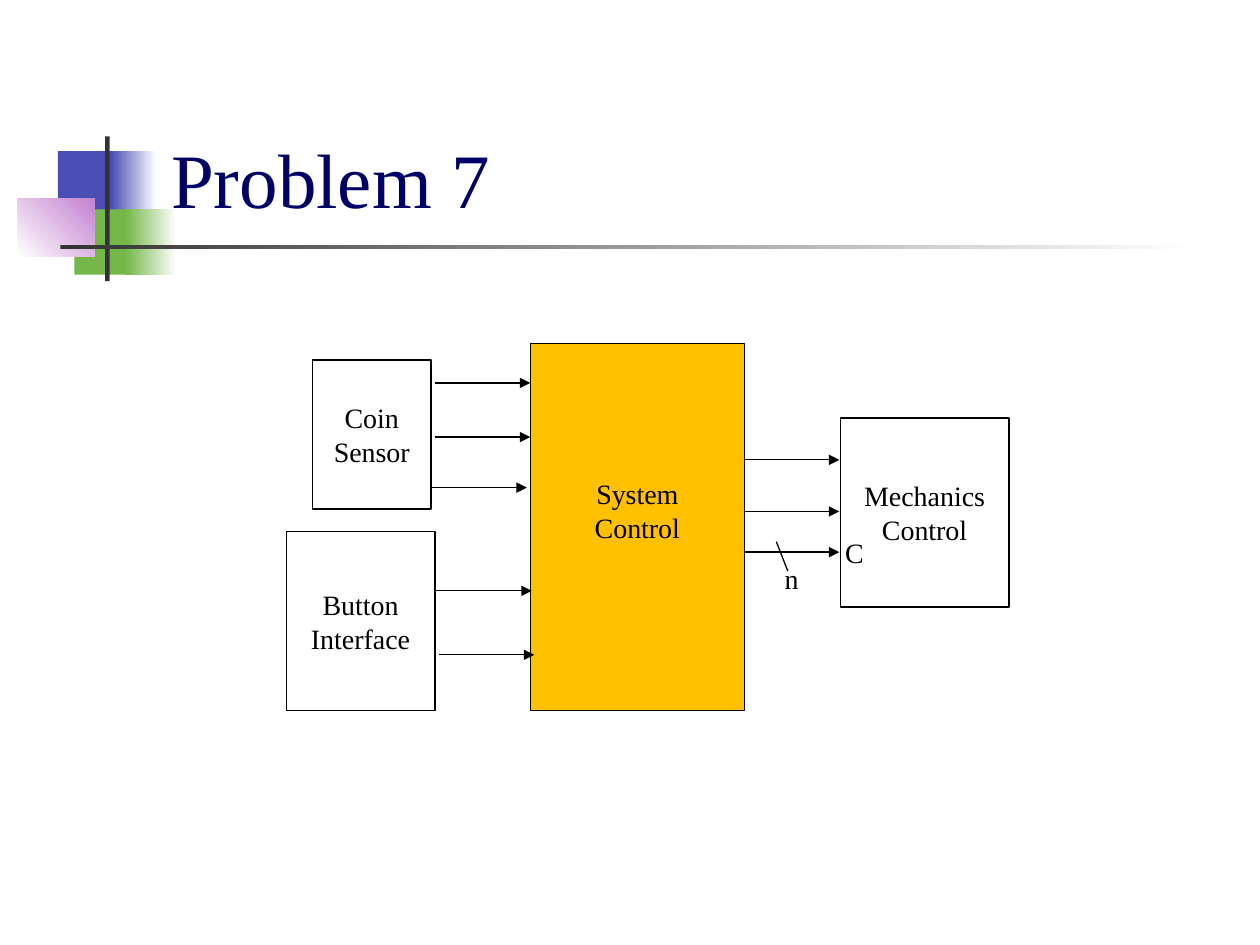
from lxml import etree
from pptx import Presentation
from pptx.dml.color import RGBColor
from pptx.enum.shapes import MSO_CONNECTOR, MSO_SHAPE
from pptx.enum.text import MSO_ANCHOR, MSO_AUTO_SIZE, PP_ALIGN
from pptx.oxml.ns import qn
from pptx.util import Cm, Pt

RECTANGLE = MSO_SHAPE.RECTANGLE
STRAIGHT = MSO_CONNECTOR.STRAIGHT
LEFT, CENTER = PP_ALIGN.LEFT, PP_ALIGN.CENTER
TOP, MIDDLE, BOTTOM = MSO_ANCHOR.TOP, MSO_ANCHOR.MIDDLE, MSO_ANCHOR.BOTTOM
FIT_SHAPE = MSO_AUTO_SIZE.SHAPE_TO_FIT_TEXT

BLACK = RGBColor(0x00, 0x00, 0x00)
WHITE = RGBColor(0xFF, 0xFF, 0xFF)
NAVY = RGBColor(0x00, 0x00, 0x66)
BLUE = RGBColor(0x4B, 0x4E, 0xB5)
GREEN = RGBColor(0x76, 0xB7, 0x49)
PURPLE = RGBColor(0xC4, 0x81, 0xCF)
CHARCOAL = RGBColor(0x33, 0x33, 0x33)
AMBER = RGBColor(0xFF, 0xC0, 0x00)


def write_text(frame, text, font="Times New Roman", size=16, color=BLACK,
               align=LEFT, anchor=TOP, wrap=True):
    """Fill a text frame, one paragraph per line of text."""
    frame.word_wrap = wrap
    frame.vertical_anchor = anchor
    frame.text = text
    for paragraph in frame.paragraphs:
        paragraph.alignment = align
        paragraph.font.name = font
        paragraph.font.size = Pt(size)
        paragraph.font.color.rgb = color


class DiagramSlide:
    """Current slide with its shared line style; positions in centimetres."""

    line_color = BLACK
    line_width = Pt(0.75)

    def __init__(self, slide):
        self.shapes = slide.shapes

    def rectangle(self, left, top, width, height):
        shape = self.shapes.add_shape(
            RECTANGLE, Cm(left), Cm(top), Cm(width), Cm(height))
        shape.shadow.inherit = False
        return shape

    def ornament(self, *bounds, colors, angle=0):
        """Borderless rectangle, plain for one color or a gradient for two."""
        shape = self.rectangle(*bounds)
        shape.line.fill.background()
        if len(colors) == 1:
            shape.fill.solid()
            shape.fill.fore_color.rgb = colors[0]
            return
        shape.fill.gradient()
        shape.fill.gradient_angle = angle
        for stop, color in zip(shape.fill.gradient_stops, colors):
            stop.color.rgb = color

    def block(self, text, *bounds, fill=None, bottom_inset=0.13):
        shape = self.rectangle(*bounds)
        if fill is None:
            shape.fill.background()
        else:
            shape.fill.solid()
            shape.fill.fore_color.rgb = fill
        shape.line.color.rgb = self.line_color
        shape.line.width = self.line_width
        shape.text_frame.margin_bottom = Cm(bottom_inset)
        write_text(shape.text_frame, text, align=CENTER, anchor=MIDDLE)

    def line(self, x1, y1, x2, y2, arrow=False):
        connector = self.shapes.add_connector(
            STRAIGHT, Cm(x1), Cm(y1), Cm(x2), Cm(y2))
        connector.line.color.rgb = self.line_color
        connector.line.width = self.line_width
        if arrow:
            outline = connector.line._get_or_add_ln()
            etree.SubElement(outline, qn("a:tailEnd"), type="triangle")
        etree.SubElement(connector._element.spPr, qn("a:effectLst"))

    def label(self, text, left, top, width, height, fit=True, **text_format):
        box = self.shapes.add_textbox(
            Cm(left), Cm(top), Cm(width), Cm(height))
        write_text(box.text_frame, text, **text_format)
        if fit:
            box.text_frame.auto_size = FIT_SHAPE


def main():
    presentation = Presentation()
    presentation.slide_width = Cm(25.4)
    presentation.slide_height = Cm(19.05)
    blank_layout = presentation.slide_layouts[6]
    diagram = DiagramSlide(presentation.slides.add_slide(blank_layout))

    # Corner ornament and title rule
    diagram.ornament(1.17, 3.05, 1.22, 1.32, colors=[BLUE])
    diagram.ornament(2.24, 3.05, 0.91, 1.32, colors=[BLUE, WHITE])
    diagram.ornament(1.5, 4.22, 1.17, 1.32, colors=[GREEN])
    diagram.ornament(2.54, 4.22, 1.02, 1.32, colors=[GREEN, WHITE])
    diagram.ornament(0.36, 4.01, 1.55, 1.17, colors=[WHITE, PURPLE], angle=45)
    diagram.ornament(2.12, 2.75, 0.09, 2.92, colors=[CHARCOAL])
    diagram.ornament(1.22, 4.94, 22.86, 0.09, colors=[CHARCOAL, WHITE])

    # Title
    diagram.label("Problem 7", 3.2, 0.58, 21.64, 4.06, fit=False,
                  size=44, color=NAVY, anchor=BOTTOM)

    # Blocks
    diagram.block("Coin\nSensor", 6.3, 7.26, 2.39, 3)
    diagram.block("Button Interface", 5.77, 10.72, 3, 3.61)
    diagram.block("System\nControl", 10.69, 6.93, 4.32, 7.39,
                  fill=AMBER, bottom_inset=0.81)
    diagram.block("Mechanics\nControl", 16.94, 8.43, 3.4, 3.81)

    # Signals, all of the same length
    signal_length = 1.93
    sensor_signals = [(8.76, 7.72), (8.76, 8.81), (8.69, 9.83)]
    button_signals = [(8.79, 11.91), (8.84, 13.2)]
    control_signals = [(14.99, y) for y in (9.27, 10.31, 11.13)]
    for x, y in sensor_signals + button_signals + control_signals:
        diagram.line(x, y, x + signal_length, y, arrow=True)

    # Bus mark and labels
    diagram.line(15.65, 10.92, 15.88, 11.51)
    diagram.label("n", 15.57, 11.2, 0.79, 0.94, wrap=False)
    diagram.label("C", 16.79, 10.67, 0.89, 0.94, wrap=False)

    presentation.save("out.pptx")


if __name__ == "__main__":
    main()
